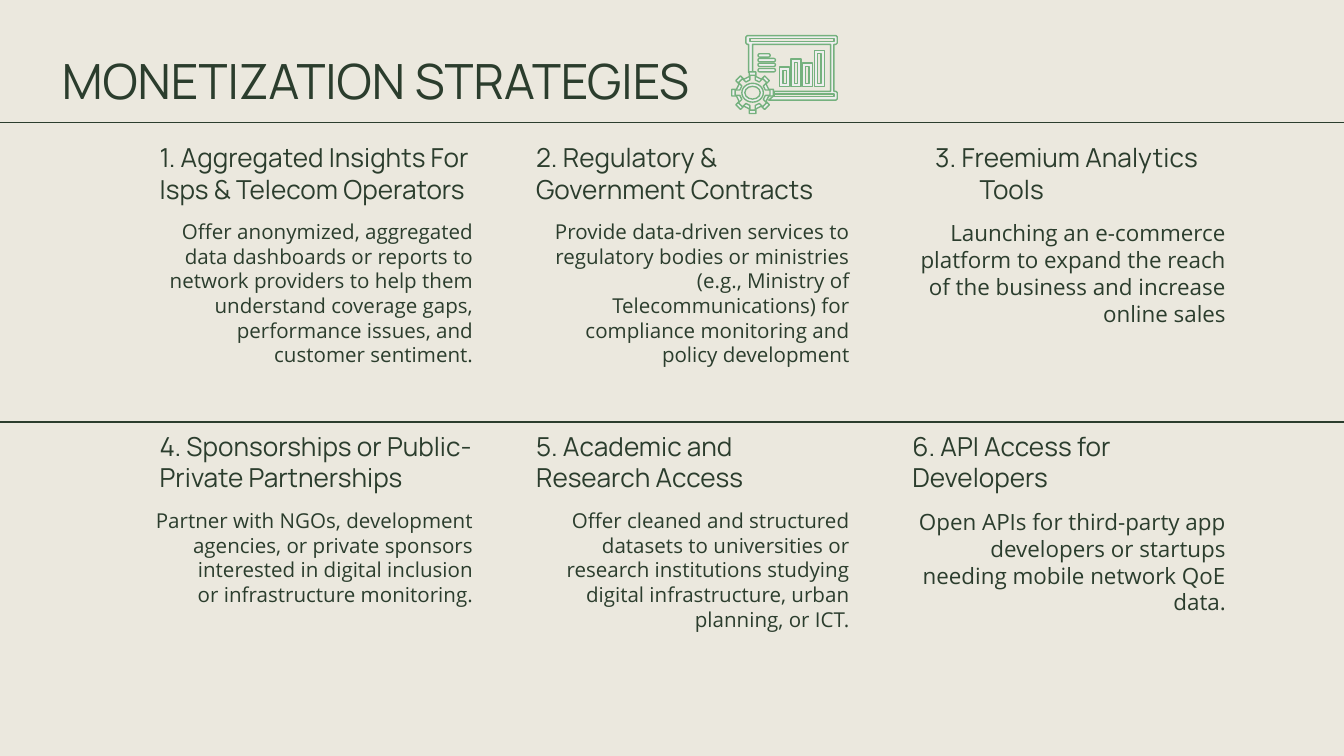
from dataclasses import dataclass
from math import cos, pi, sin

from lxml.etree import SubElement
from pptx import Presentation
from pptx.dml.color import RGBColor
from pptx.enum.shapes import MSO_CONNECTOR, MSO_SHAPE
from pptx.enum.text import MSO_ANCHOR, PP_ALIGN
from pptx.oxml.ns import qn
from pptx.util import Emu, Pt

PX = 4572  # one px is 1/200 inch
INK, PAPER, PALE, GREEN = "2B3D2D", "EBE8DE", "EEEEEE", "75B17E"
HEAD, BODY = "Manrope", "Open Sans"
COLS = (218, 778, 1338)
ROWS = (198, 628)
CARD = 506

Point = tuple[float, float]


@dataclass
class Card:
    head: str
    text: str
    size: int = 11
    head_hang: bool = False
    text_hang: bool = False


@dataclass
class Bar:
    left: int
    top: int


CARDS = [
    Card("1. Aggregated Insights For Isps & Telecom Operators",
         "Offer anonymized, aggregated data dashboards or reports to network providers "
         "to help them understand coverage gaps, performance issues, and customer sentiment."),
    Card("2. Regulatory & Government Contracts",
         "Provide data-driven services to regulatory bodies or ministries (e.g., Ministry "
         "of Telecommunications) for compliance monitoring and policy development"),
    Card("3. Freemium Analytics Tools",
         "Launching an e-commerce platform to expand the reach of the business and "
         "increase online sales", size=12, head_hang=True),
    Card("4. Sponsorships or Public-Private Partnerships",
         "Partner with NGOs, development agencies, or private sponsors interested in "
         "digital inclusion or infrastructure monitoring.", text_hang=True),
    Card("5. Academic and Research Access",
         "Offer cleaned and structured datasets to universities or research institutions "
         "studying digital infrastructure, urban planning, or ICT."),
    Card("6. API Access for Developers",
         "Open APIs for third-party app developers or startups needing mobile network "
         "QoE data.", size=12),
]
BARS = [Bar(1160, 100), Bar(1177, 88), Bar(1194, 94), Bar(1212, 75)]
FRAME = [
    (1114, 108), (1114, 66), (1112, 66), (1110, 64), (1110, 55), (1112, 53),
    (1244, 53), (1246, 55), (1246, 64), (1244, 66), (1241, 66), (1241, 136),
    (1244, 136), (1246, 138), (1246, 147), (1244, 149), (1144, 149), (1152, 142),
    (1152, 136), (1236, 136), (1236, 66), (1120, 66), (1120, 108),
]


def px(n: int) -> Emu:
    return Emu(n * PX)


def rgb(code: str) -> RGBColor:
    return RGBColor.from_string(code)


def place(shape, x: int, y: int, w: int, h: int) -> None:
    shape.left, shape.top, shape.width, shape.height = map(px, (x, y, w, h))


def write(shape, text: str, *, size: int, font: str, align=PP_ALIGN.LEFT,
          anchor=MSO_ANCHOR.TOP, hang: bool = False) -> None:
    frame = shape.text_frame
    frame.word_wrap = True
    frame.vertical_anchor = anchor
    frame.margin_left = frame.margin_right = px(20)
    frame.margin_top = frame.margin_bottom = px(20)
    para = frame.paragraphs[0]
    para.alignment = align
    if hang:
        props = para._p.get_or_add_pPr()
        props.set("marL", str(px(100)))
        props.set("indent", str(px(-66)))
    run = para.add_run()
    run.text = text
    run.font.size = Pt(size)
    run.font.name = font
    run.font.color.rgb = rgb(INK)


def add_card(slide, card: Card, x: int, y: int) -> None:
    head = slide.shapes.add_textbox(px(x), px(y), px(CARD), px(126))
    write(head, card.head, size=14, font=HEAD, anchor=MSO_ANCHOR.BOTTOM,
          hang=card.head_hang)
    extra = 68 if card.text_hang else 0
    text = slide.shapes.add_textbox(px(x - extra), px(y + 108), px(CARD + extra), px(254))
    write(text, card.text, size=card.size, font=BODY, align=PP_ALIGN.RIGHT,
          hang=card.text_hang)


def add_rule(slide, y: int) -> None:
    rule = slide.shapes.add_connector(MSO_CONNECTOR.STRAIGHT, px(-2), px(y), px(2008), px(y))
    rule.line.color.rgb = rgb(INK)
    rule.line.width = Pt(0.75)
    SubElement(rule._element.spPr, qn("a:effectLst"))


def paint(shape) -> None:
    shape.shadow.inherit = False
    shape.fill.solid()
    shape.fill.fore_color.rgb = rgb(PALE)
    shape.line.color.rgb = rgb(GREEN)
    shape.line.width = Pt(0.75)


def box(x1: int, y1: int, x2: int, y2: int) -> list[Point]:
    return [(x1, y1), (x2, y1), (x2, y2), (x1, y2)]


def gear(root: int, tip: int) -> list[Point]:
    """Outline of an eight-toothed wheel around the hub."""
    points = []
    for tooth in range(8):
        for turn, reach in ((-0.2, root), (-0.17, tip), (0.17, tip), (0.2, root)):
            angle = tooth * pi / 4 + turn
            points.append((1120 + reach * cos(angle), 138 + reach * sin(angle)))
    return points


def outline(group, *paths: list[Point]) -> None:
    """Draw one shape whose later paths are holes in the first."""
    pen = group.shapes.build_freeform(*paths[0][0], scale=PX)
    for index, path in enumerate(paths):
        if index:
            pen.move_to(*path[0])
        pen.add_line_segments(path[1:], close=True)
    paint(pen.convert_to_shape())


def add_icon(slide) -> None:
    group = slide.shapes.add_group_shape()
    outline(group, FRAME, box(1116, 57, 1241, 62), box(1152, 140, 1241, 144))
    outline(group, gear(24, 31), gear(19, 26))
    for bar in BARS:
        outline(group, box(bar.left, bar.top, bar.left + 15, 129),
                box(bar.left + 5, bar.top + 5, bar.left + 10, 124))
    for y, width in ((80, 18), (87, 26), (94, 26), (102, 26)):
        dash = group.shapes.add_shape(MSO_SHAPE.ROUNDED_RECTANGLE,
                                      px(1128), px(y), px(width), px(5))
        dash.adjustments[0] = 0.5
        paint(dash)
    hub = group.shapes.add_shape(MSO_SHAPE.DONUT, px(1104), px(124), px(32), px(28))
    hub.adjustments[0] = 0.16
    paint(hub)


def main() -> None:
    deck = Presentation()
    deck.slide_width, deck.slide_height = px(2000), px(1125)
    slide = deck.slides.add_slide(deck.slide_layouts[5])
    slide.background.fill.solid()
    slide.background.fill.fore_color.rgb = rgb(PAPER)

    title = slide.shapes.title
    place(title, 72, 56, 1686, 126)
    write(title, "MONETIZATION STRATEGIES", size=26, font=HEAD, anchor=MSO_ANCHOR.MIDDLE)
    for index, card in enumerate(CARDS):
        row, col = divmod(index, len(COLS))
        add_card(slide, card, COLS[col], ROWS[row])
    for y in (182, 628):
        add_rule(slide, y)
    add_icon(slide)
    deck.save("out.pptx")


if __name__ == "__main__":
    main()
